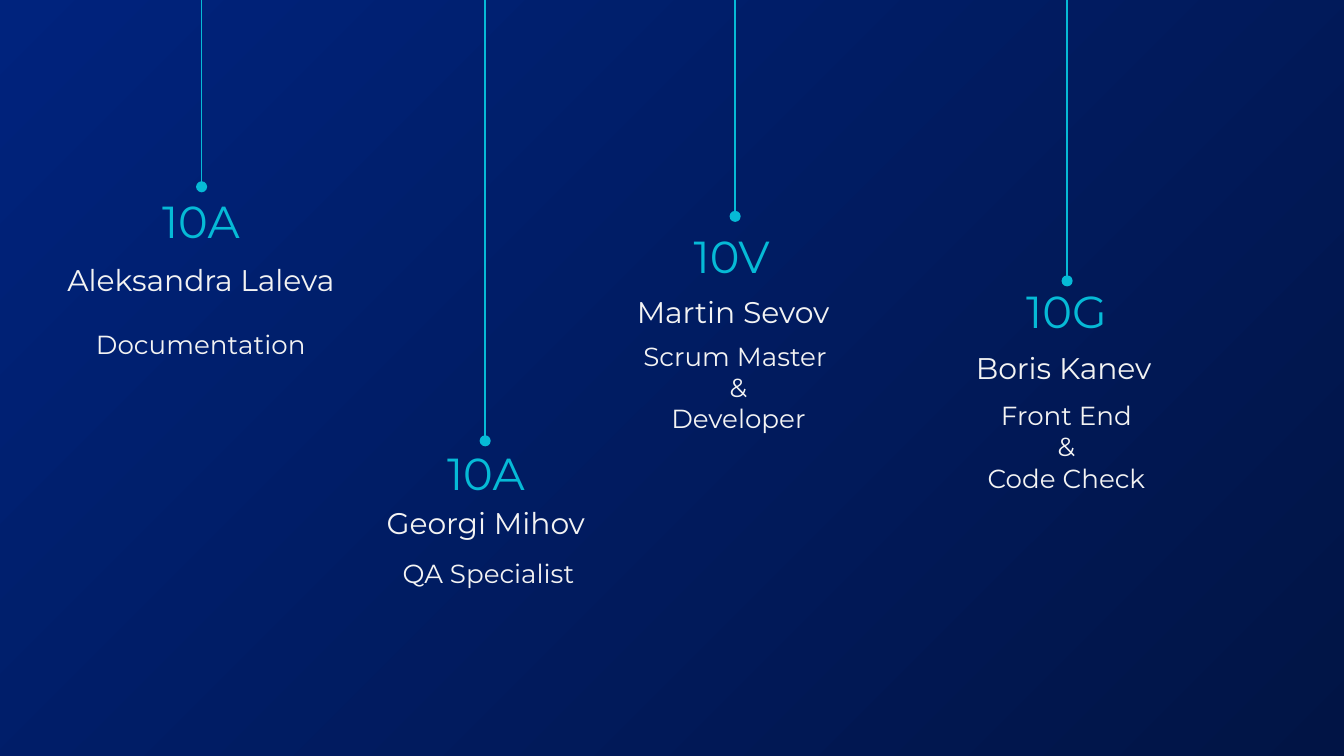
import pptx
import pptx.dml.color
import pptx.enum.shapes
import pptx.enum.text
import pptx.oxml
import pptx.oxml.ns
import pptx.util
from pptx.util import Inches

CYAN, PALE = "06BAD6", "F3F3F3"
ANCHOR = pptx.enum.text.MSO_ANCHOR


def rgb(value):
    return pptx.dml.color.RGBColor.from_string(value)


class Deck:
    font = "Montserrat"

    def __init__(self, width):
        self.prs = pptx.Presentation()
        self.prs.slide_width = Inches(width)
        self.prs.slide_height = Inches(width * 9 / 16)
        self.s = self.prs.slides.add_slide(self.prs.slide_layouts[6])

    def background(self, start, end):
        fill = self.s.background.fill
        fill.gradient()
        fill.gradient_angle = 315  # counter-clockwise: top left to bottom right
        for stop, color in zip(fill.gradient_stops, (start, end)):
            stop.color.rgb = rgb(color)

    def text(self, box, lines, size, color, anchor=ANCHOR.BOTTOM):
        tf = self.s.shapes.add_textbox(*map(Inches, box)).text_frame
        tf.word_wrap = True
        tf.vertical_anchor = anchor
        tf.margin_left = tf.margin_right = Inches(0.1)
        tf.margin_top = tf.margin_bottom = Inches(0.1)
        for i, line in enumerate(lines):
            p = tf.add_paragraph() if i else tf.paragraphs[0]
            p.alignment = pptx.enum.text.PP_ALIGN.CENTER
            r = p.add_run()
            r.text = line
            r.font.name = self.font
            r.font.size = pptx.util.Pt(size)
            r.font.color.rgb = rgb(color)

    def thread(self, x, bottom, top):
        """Vertical line with a dot at its lower end."""
        line = self.s.shapes.add_connector(
            pptx.enum.shapes.MSO_CONNECTOR.STRAIGHT,
            Inches(x), Inches(bottom), Inches(x), Inches(top))
        line.line.color.rgb = rgb(CYAN)
        line.line.width = pptx.util.Pt(0.75)
        ns = pptx.oxml.ns.nsdecls("a")
        line.line._get_or_add_ln().append(
            pptx.oxml.parse_xml(f'<a:headEnd {ns} type="oval"/>'))
        line._element.spPr.append(pptx.oxml.parse_xml(f"<a:effectLst {ns}/>"))


# Each member: class, name, role lines, then
# thread (x, bottom, top), class (left, top), name (left, top, width), role (left, top)
MEMBERS = [
    ("10A", "Aleksandra Laleva", ["Documentation"],
     (1.5, 1.39, -0.08), (0.91, 1.4), (0.22, 1.89, 2.55), (0.43, 2.34)),
    ("10A", "Georgi Mihov", ["QA Specialist"],
     (3.61, 3.28, -0.27), (3.03, 3.28), (2.55, 3.7, 2.13), (2.57, 4.05)),
    ("10V", "Martin Sevov", ["Scrum Master ", "&", "Developer"],
     (5.47, 1.61, -1.76), (4.86, 1.66), (4.39, 2.13, 2.13), (4.43, 2.43)),
    ("10G", "Boris Kanev", ["Front End", "&", "Code Check"],
     (7.94, 2.09, -0.27), (7.35, 2.07), (6.85, 2.55, 2.13), (6.87, 2.87)),
]


def main():
    deck = Deck(10)
    deck.background("00237D", "011445")

    # Team members hanging from threads
    for group, name, role, thread, group_at, name_at, role_at in MEMBERS:
        deck.text((*group_at, 1.17, 0.54), [group], 24, CYAN)
        deck.text((*name_at, 0.42), [name], 16, PALE)
        deck.text((*role_at, 2.13, 0.9), role, 14, PALE, ANCHOR.TOP)
        deck.thread(*thread)

    deck.prs.save("out.pptx")


if __name__ == "__main__":
    main()
